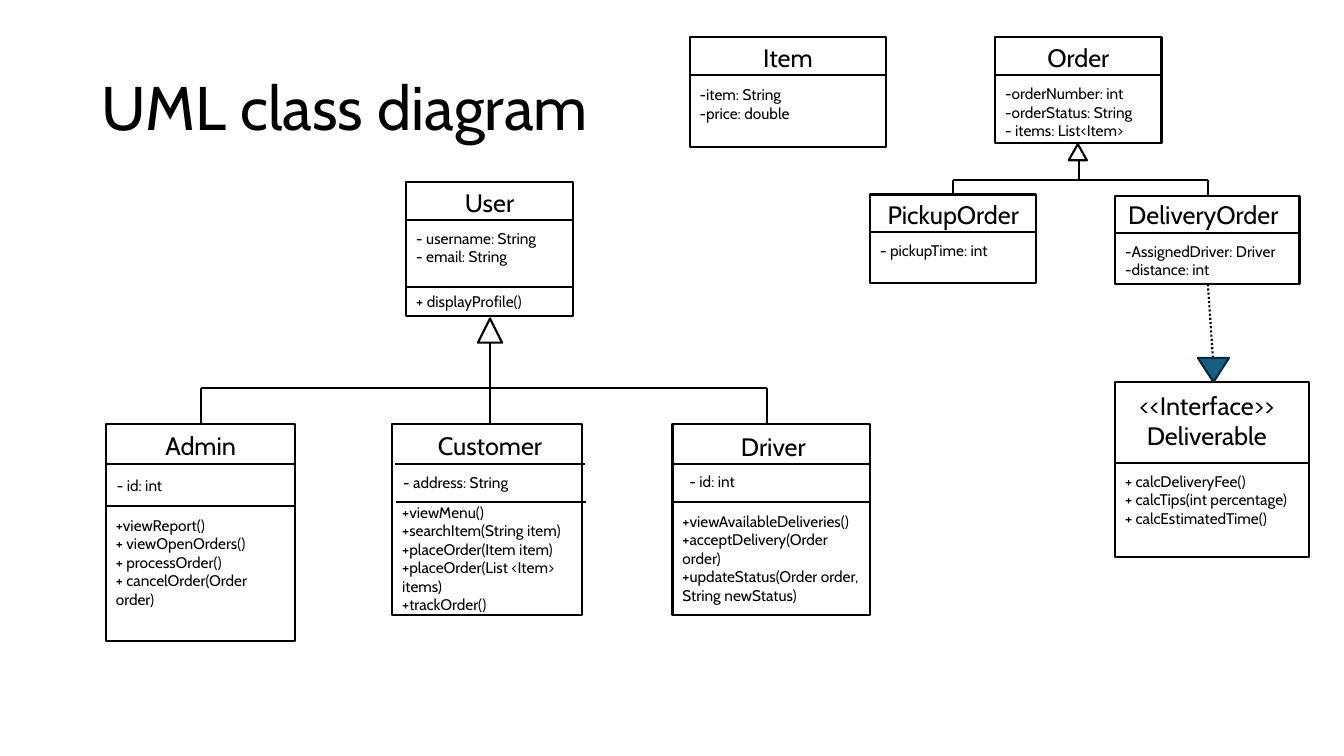
from lxml import etree
from pptx import Presentation
from pptx.dml.color import RGBColor
from pptx.enum.dml import MSO_LINE
from pptx.enum.shapes import MSO_CONNECTOR, MSO_SHAPE
from pptx.enum.text import MSO_ANCHOR, PP_ALIGN
from pptx.oxml.ns import qn
from pptx.util import Emu, Pt

PX = 9144  # 100 px to the inch
BLACK = RGBColor(0x00, 0x00, 0x00)
WHITE = RGBColor(0xFF, 0xFF, 0xFF)
TEAL = RGBColor(0x15, 0x60, 0x82)
DARK_TEAL = RGBColor(0x09, 0x2A, 0x39)
LINE_WIDTH = Pt(1.5)

prs = Presentation()
prs.slide_width, prs.slide_height = Emu(1333 * PX), Emu(750 * PX)
s = prs.slides.add_slide(prs.slide_layouts[6])


def add_text(x, y, w, h, lines, size, align=PP_ALIGN.LEFT):
    tf = s.shapes.add_textbox(x * PX, y * PX, w * PX, h * PX).text_frame
    tf.word_wrap = True
    tf.text = "\n".join(lines)
    for p in tf.paragraphs:
        p.alignment = align
        p.font.name = "Cabin"
        p.font.size = Pt(size)
        p.font.color.rgb = BLACK
    return tf


def add_line(x1, y1, x2, y2):
    line = s.shapes.add_connector(
        MSO_CONNECTOR.STRAIGHT, x1 * PX, y1 * PX, x2 * PX, y2 * PX)
    line.line.color.rgb = BLACK
    line.line.width = LINE_WIDTH
    etree.SubElement(line._element.spPr, qn("a:effectLst"))
    return line


tf = add_text(91, 37, 1150, 145, ["UML class diagram"], 44)
tf.vertical_anchor = MSO_ANCHOR.MIDDLE
tf.paragraphs[0].line_spacing = 0.9

# box, (title dx, dy), title lines, dividers (dx, y), sections (dx, y, lines)
classes = [
    ((403, 181, 165, 133), (0, 0), ["User"], [(0, 218), (0, 285)],
     [(0, 222, ["- username: String", "- email: String"]),
      (0, 285, ["+ displayProfile()"])]),
    ((105, 421, 188, 215), (0, 1), ["Admin"], [(0, 460), (0, 502)],
     [(1, 467, ["- id: int"]),
      (0, 507, ["+viewReport()", "+ viewOpenOrders()", "+ processOrder()",
                "+ cancelOrder(Order order)"])]),
    ((389, 421, 188, 189), (3, 1), ["Customer"], [(3, 460), (4, 498)],
     [(1, 464, ["- address: String"]),
      (0, 494, ["+viewMenu()", "+searchItem(String item)",
                "+placeOrder(Item item)", "+placeOrder(List <Item> items)",
                "+trackOrder()"])]),
    ((667, 421, 196, 189), (2, 2), ["Driver"], [(0, 460), (0, 498)],
     [(7, 463, ["- id: int"]),
      (0, 503, ["+viewAvailableDeliveries()", "+acceptDelivery(Order order)",
                "+updateStatus(Order order, String newStatus)"])]),
    ((684, 37, 195, 109), (0, 0), ["Item"], [(0, 74)],
     [(0, 80, ["-item: String", "-price: double"])]),
    ((987, 37, 165, 105), (0, 0), ["Order"], [(0, 74)],
     [(0, 79, ["-orderNumber: int", "-orderStatus: String",
               "- items: List<Item>"])]),
    ((863, 193, 165, 88), (0, 0), ["PickupOrder"], [(0, 230)],
     [(0, 234, ["- pickupTime: int"])]),
    ((1106, 194, 183, 88), (-4, -1), ["DeliveryOrder"], [(0, 231)],
     [(0, 235, ["-AssignedDriver: Driver", "-distance: int"])]),
    ((1106, 379, 192, 174), (-5, 3), ["<<Interface>>", "Deliverable"],
     [(0, 459)],
     [(0, 463, ["+ calcDeliveryFee()", "+ calcTips(int percentage)",
                "+ calcEstimatedTime()"])]),
]

for (x, y, w, h), (title_dx, title_dy), title, dividers, sections in classes:
    box = s.shapes.add_shape(MSO_SHAPE.RECTANGLE, x * PX, y * PX, w * PX, h * PX)
    box.shadow.inherit = False
    box.fill.solid()
    box.fill.fore_color.rgb = WHITE
    box.line.color.rgb = BLACK
    box.line.width = LINE_WIDTH
    for dx, divider_y in dividers:
        add_line(x + dx, divider_y, x + dx + w, divider_y)
    add_text(x + title_dx, y + title_dy, w, 10 + 30 * len(title), title, 18,
             PP_ALIGN.CENTER)
    for dx, section_y, lines in sections:
        add_text(x + dx, section_y, w, 10 + 19 * len(lines), lines, 11)

# Inheritance trees: bar y, parent x, arrow bottom, child xs, child top
for bar_y, parent_x, arrow_y, child_xs, child_y in [
    (385, 486, 337, [199, 486, 761], 421),
    (179, 1070, 159, [945, 1198], 193),
]:
    add_line(child_xs[0], bar_y, child_xs[-1], bar_y)
    add_line(parent_x, bar_y, parent_x, arrow_y)
    for child_x in child_xs:
        add_line(child_x, bar_y, child_x, child_y)

realization = add_line(1198, 282, 1203, 355)
realization.line.dash_style = MSO_LINE.ROUND_DOT

for x, y, w, h, rotation, fill, outline in [
    (474, 316, 24, 24, 0, WHITE, BLACK),
    (1060, 143, 18, 16, 0, WHITE, BLACK),
    (1188, 355, 31, 24, 180, TEAL, DARK_TEAL),
]:
    head = s.shapes.add_shape(
        MSO_SHAPE.ISOSCELES_TRIANGLE, x * PX, y * PX, w * PX, h * PX)
    head.shadow.inherit = False
    head.rotation = rotation
    head.fill.solid()
    head.fill.fore_color.rgb = fill
    head.line.color.rgb = outline
    head.line.width = LINE_WIDTH

prs.save("out.pptx")
